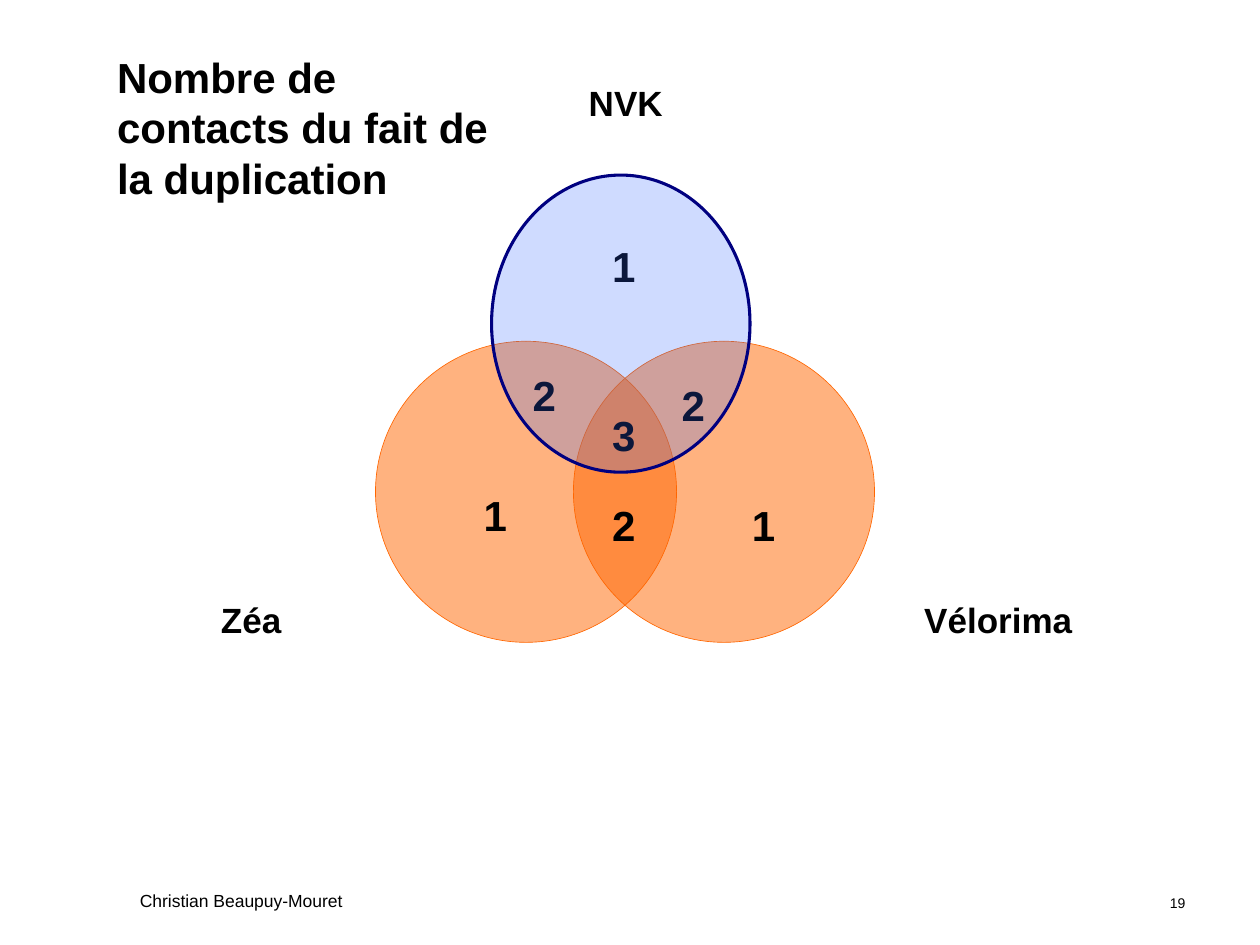
from dataclasses import dataclass

from lxml.etree import SubElement
from pptx import Presentation
from pptx.dml.color import RGBColor
from pptx.enum.shapes import MSO_SHAPE as Preset
from pptx.enum.text import MSO_ANCHOR as Anchor, PP_ALIGN as Align
from pptx.oxml.ns import qn
from pptx.slide import Slide
from pptx.util import Cm, Pt

BLACK = RGBColor(0x00, 0x00, 0x00)
WHITE = RGBColor(0xFF, 0xFF, 0xFF)
ORANGE = RGBColor(0xFF, 0x66, 0x00)
BLUE = RGBColor(0x33, 0x66, 0xFF)
NAVY = RGBColor(0x00, 0x00, 0x80)

FONT = "Arial"
DIAMETER = 6.07
CENTRE = 12.09  # left edge of the counts on the vertical axis


@dataclass
class Oval:
    left: float
    top: float
    fill: RGBColor
    line: RGBColor
    width: float = DIAMETER
    height: float = DIAMETER
    opacity: int = 50
    weight: float = 0.37


@dataclass
class Label:
    text: str
    left: float
    top: float


CIRCLES = [
    Oval(9.55, 3.43, WHITE, WHITE),
    Oval(11.56, 6.88, ORANGE, ORANGE),
    Oval(7.57, 6.88, ORANGE, ORANGE),
]
FRONT_OVAL = Oval(9.91, 3.53, BLUE, NAVY, 5.21, 5.99, opacity=23, weight=1.75)

TITLES = [
    Label("NVK", 10.24, 1.3),
    Label("Vélorima", 17.75, 11.73),
    Label("Zéa", 2.69, 11.73),
]
COUNTS = [
    Label("2", 13.49, 7.52),
    Label("2", CENTRE, 9.93),
    Label("1", 9.5, 9.73),
    Label("1", 14.91, 9.93),
    Label("1", CENTRE, 4.72),
    Label("3", CENTRE, 8.13),
    Label("2", 10.49, 7.32),
]


def add_oval(page: Slide, oval: Oval) -> None:
    shape = page.shapes.add_shape(
        Preset.OVAL, Cm(oval.left), Cm(oval.top), Cm(oval.width), Cm(oval.height))
    shape.shadow.inherit = False
    shape.fill.solid()
    shape.fill.fore_color.rgb = oval.fill
    color = shape.fill._xPr.find(f"{qn('a:solidFill')}/{qn('a:srgbClr')}")
    SubElement(color, qn("a:alpha"), val=str(oval.opacity * 1000))
    shape.line.color.rgb = oval.line
    shape.line.width = Pt(oval.weight)


def add_text(page: Slide, text: str, left: float, top: float, width: float,
             height: float, *, size: float, bold: bool = False,
             align: Align = Align.LEFT, anchor: Anchor = Anchor.TOP,
             padded: bool = True) -> None:
    box = page.shapes.add_textbox(Cm(left), Cm(top), Cm(width), Cm(height))
    frame = box.text_frame
    frame.word_wrap = True
    frame.vertical_anchor = anchor
    frame.margin_left = frame.margin_right = Cm(0.25 if padded else 0)
    frame.margin_top = frame.margin_bottom = Cm(0.13 if padded else 0)
    para = frame.paragraphs[0]
    para.alignment = align
    span = para.add_run()
    span.text = text
    span.font.name = FONT
    span.font.size = Pt(size)
    span.font.bold = bold
    span.font.color.rgb = BLACK


def main() -> None:
    deck = Presentation()
    deck.slide_width, deck.slide_height = Cm(25.4), Cm(19.05)
    page = deck.slides.add_slide(deck.slide_layouts[6])

    # Footer
    add_text(page, "19", 22.71, 17.91, 2.06, 0.61, size=8, align=Align.CENTER)
    add_text(page, "Christian Beaupuy-Mouret", 2.57, 17.81, 16.59, 0.61, size=10)

    # Overlapping audiences and their titles
    for circle in CIRCLES:
        add_oval(page, circle)
    for title in TITLES:
        add_text(page, title.text, title.left, title.top, 4.75, 1.52, size=20,
                 bold=True, align=Align.CENTER, anchor=Anchor.MIDDLE, padded=False)

    # Number of contacts in each area
    for count in COUNTS:
        add_text(page, count.text, count.left, count.top, 1, 1.27, size=24, bold=True)

    # Heading
    add_text(page, "Nombre de contacts du fait de la duplication",
             2.11, 0.91, 8, 3.3, size=24, bold=True)

    # Tinted oval over the counts
    add_oval(page, FRONT_OVAL)

    deck.save("out.pptx")


if __name__ == "__main__":
    main()
